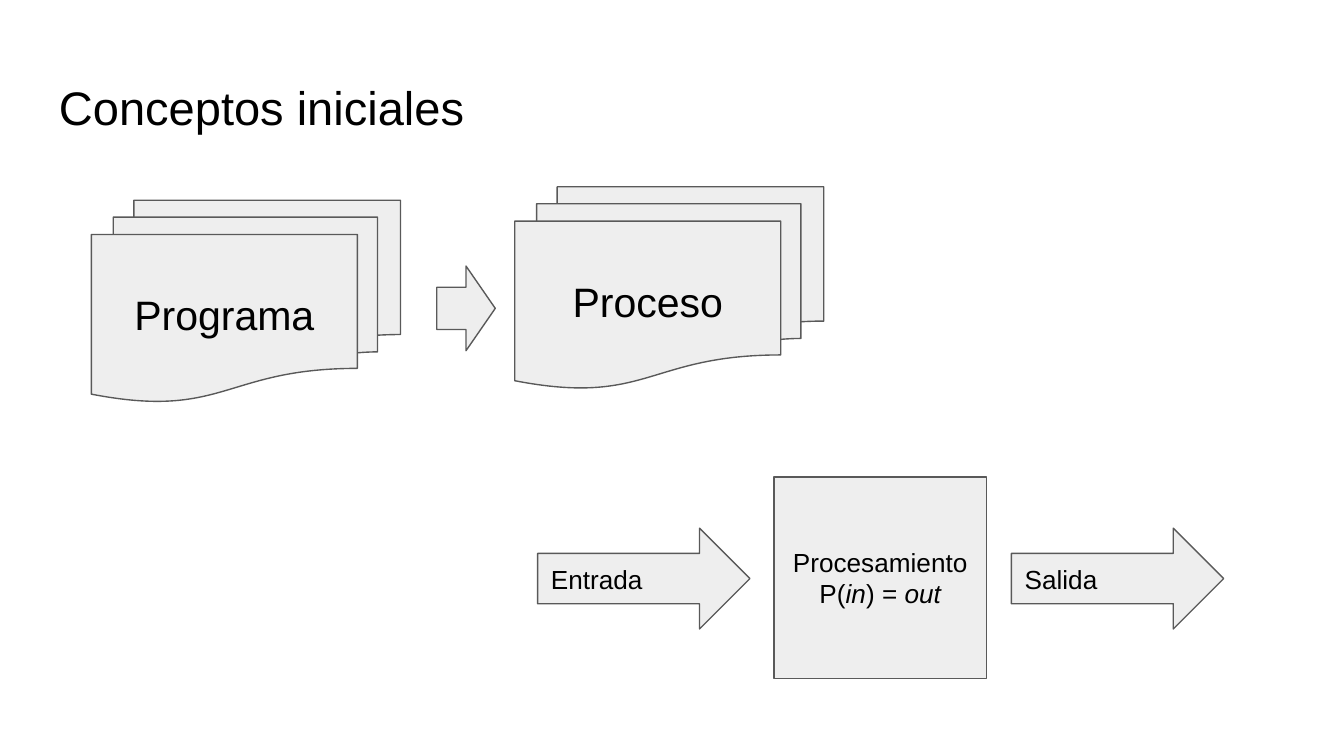
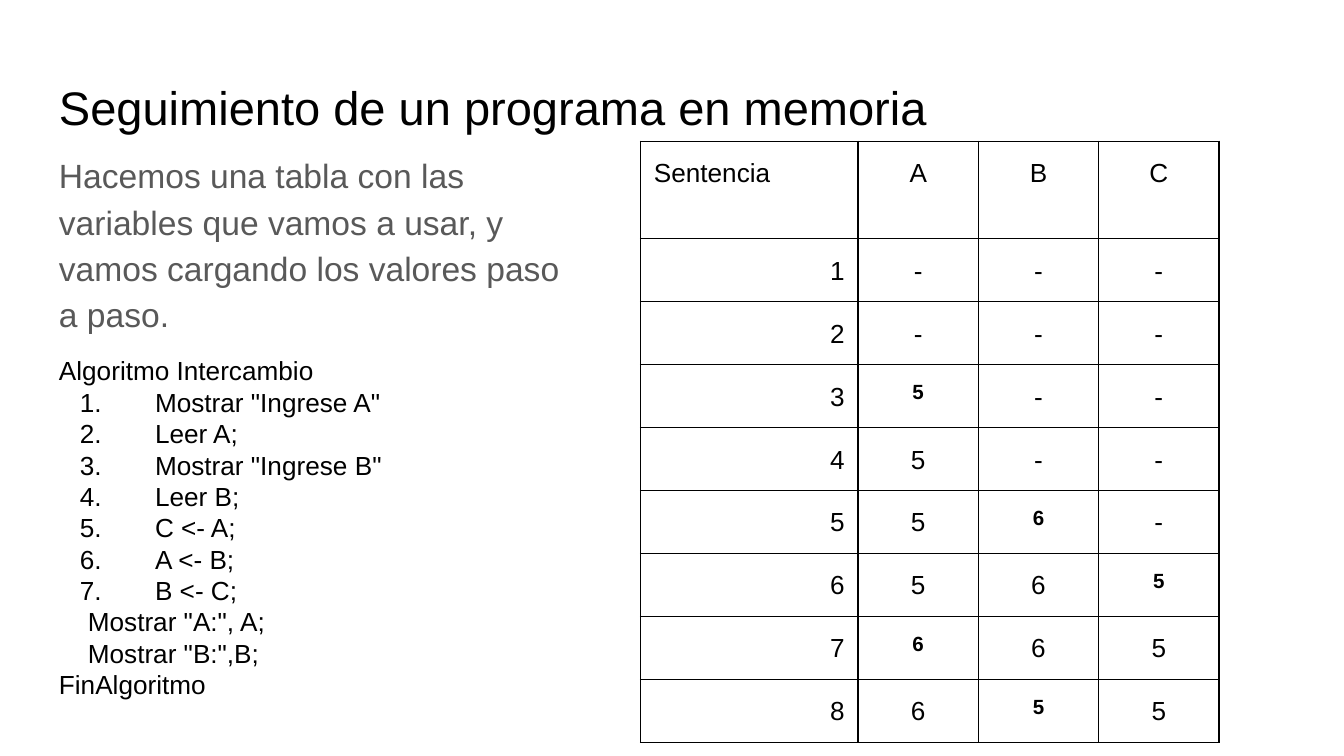
from lxml import etree
from pptx import Presentation
from pptx import util as u
from pptx.dml.color import RGBColor
from pptx.enum import shapes, text
from pptx.oxml.ns import qn

PX = 4572  # 200 px to the inch
PAD = 20 * PX
FONT = "Arial"
BLACK, GRAY, PALE = "000000", "595959", "EEEEEE"
LEFT, MID, RIGHT = text.PP_ALIGN.LEFT, text.PP_ALIGN.CENTER, text.PP_ALIGN.RIGHT
KIND = shapes.MSO_SHAPE
hue = RGBColor.from_string


def write(frame, lines, size, color=BLACK, align=LEFT, space=None):
    """Fill a frame; each line is a list of (words, style), style "", "b" or "i"."""
    frame.word_wrap = True
    frame.margin_left = frame.margin_right = PAD
    frame.margin_top = frame.margin_bottom = PAD
    for n, line in enumerate(lines):
        para = frame.add_paragraph() if n else frame.paragraphs[0]
        para.alignment = align
        if space:
            para.line_spacing = space
        for words, style in line:
            run = para.add_run()
            run.text = words
            font = run.font
            font.name, font.size = FONT, u.Pt(size)
            font.bold, font.italic = style == "b", style == "i"
            font.color.rgb = hue(color)


def draw(group, kind, box, lines, size=14, align=MID):
    shape = group.shapes.add_shape(kind, *[v * PX for v in box])
    shape.shadow.inherit = False
    shape.fill.solid()
    shape.fill.fore_color.rgb = hue(PALE)
    shape.line.color.rgb = hue(GRAY)
    shape.line.width = u.Pt(0.75)
    shape.text_frame.vertical_anchor = text.MSO_ANCHOR.MIDDLE
    write(shape.text_frame, lines, size, align=align)


deck = Presentation()
deck.slide_width, deck.slide_height = 2000 * PX, 1125 * PX

# Both slides share the title
slides = []
for title in ("Conceptos iniciales", "Seguimiento de un programa en memoria"):
    slide = deck.slides.add_slide(deck.slide_layouts[6])
    box = slide.shapes.add_textbox(68 * PX, 97 * PX, 1864 * PX, 126 * PX)
    write(box.text_frame, [[(title, "")]], 25.2)
    slides.append(slide)
ideas, trace = slides

# Input, processing, output
flow = ideas.shapes.add_group_shape()
draw(flow, KIND.RECTANGLE, (1152, 710, 316, 300), [
    [("Procesamiento", "")],
    [("P(", ""), ("in", "i"), (") = ", ""), ("out", "i")],
])
for x, word in ((800, "Entrada"), (1505, "Salida")):
    draw(flow, KIND.RIGHT_ARROW, (x, 786, 316, 150), [[(word, "")]], align=LEFT)

# From program to process
change = ideas.shapes.add_group_shape()
for x, y, word in ((136, 298, "Programa"), (766, 278, "Proceso")):
    draw(change, KIND.FLOWCHART_MULTIDOCUMENT, (x, y, 460, 300), [[(word, "")]], 22)
draw(change, KIND.RIGHT_ARROW, (650, 396, 87, 126), [])

# Introduction
intro = ("Hacemos una tabla con las variables que vamos a usar, "
         "y vamos cargando los valores paso a paso.")
box = trace.shapes.add_textbox(68 * PX, 202 * PX, 824 * PX, 748 * PX)
write(box.text_frame, [[(intro, "")]], 18, GRAY, space=1.15)

# Algorithm: numbered steps, then indented output lines
steps = ['Mostrar "Ingrese A"', "Leer A;", 'Mostrar "Ingrese B"', "Leer B;",
         "C <- A;", "A <- B;", "B <- C;"]
shows = ['Mostrar "A:", A;', 'Mostrar "B:",B;']
code = ["Algoritmo Intercambio", *steps, *shows, "FinAlgoritmo"]
box = trace.shapes.add_textbox(68 * PX, 508 * PX, 656 * PX, 606 * PX)
write(box.text_frame, [[(line, "")] for line in code], 14)
box.text_frame.auto_size = text.MSO_AUTO_SIZE.SHAPE_TO_FIT_TEXT
for line, para in zip(code, box.text_frame.paragraphs):
    props = para._p.get_or_add_pPr()
    if line in steps:
        props.set("marL", str(143 * PX))
        props.set("indent", str(-112 * PX))
        tint = etree.SubElement(props, qn("a:buClr"))
        etree.SubElement(tint, qn("a:srgbClr"), val=BLACK)
        etree.SubElement(props, qn("a:buSzPts"), val="1400")
        etree.SubElement(props, qn("a:buFont"), typeface=FONT)
        etree.SubElement(props, qn("a:buAutoNum"), type="arabicPeriod")
    elif line in shows:
        props.set("marL", str(43 * PX))
        props.set("indent", "0")

# Values after each statement; * marks a value just assigned
rows = ["Sentencia A B C", "1 - - -", "2 - - -", "3 *5 - -", "4 5 - -",
        "5 5 *6 -", "6 5 6 *5", "7 *6 6 5", "8 6 *5 5"]
table = trace.shapes.add_table(
    len(rows), 4, 953 * PX, 210 * PX, 861 * PX, 881 * PX).table
table.first_row = table.horz_banding = False
for col, wide in zip(table.columns, (324, 179, 179, 179)):
    col.width = wide * PX
for r, row in enumerate(rows):
    table.rows[r].height = (92 if r else 145) * PX
    for c, value in enumerate(row.split()):
        cell = table.cell(r, c)
        fresh = value.startswith("*")
        align = MID if c else RIGHT if r else LEFT
        write(cell.text_frame, [[(value.lstrip("*"), "b" if fresh else "")]],
              11 if fresh else 14, align=align, space=1.15)
        cell.margin_left = cell.margin_right = PAD
        cell.margin_top = cell.margin_bottom = PAD
        props = cell._tc.get_or_add_tcPr()
        for side in "LRTB":
            edge = etree.SubElement(props, qn("a:ln" + side), w=str(u.Pt(0.75)))
            fill = etree.SubElement(edge, qn("a:solidFill"))
            etree.SubElement(fill, qn("a:srgbClr"), val=BLACK)
        cell.fill.background()

deck.save("out.pptx")
